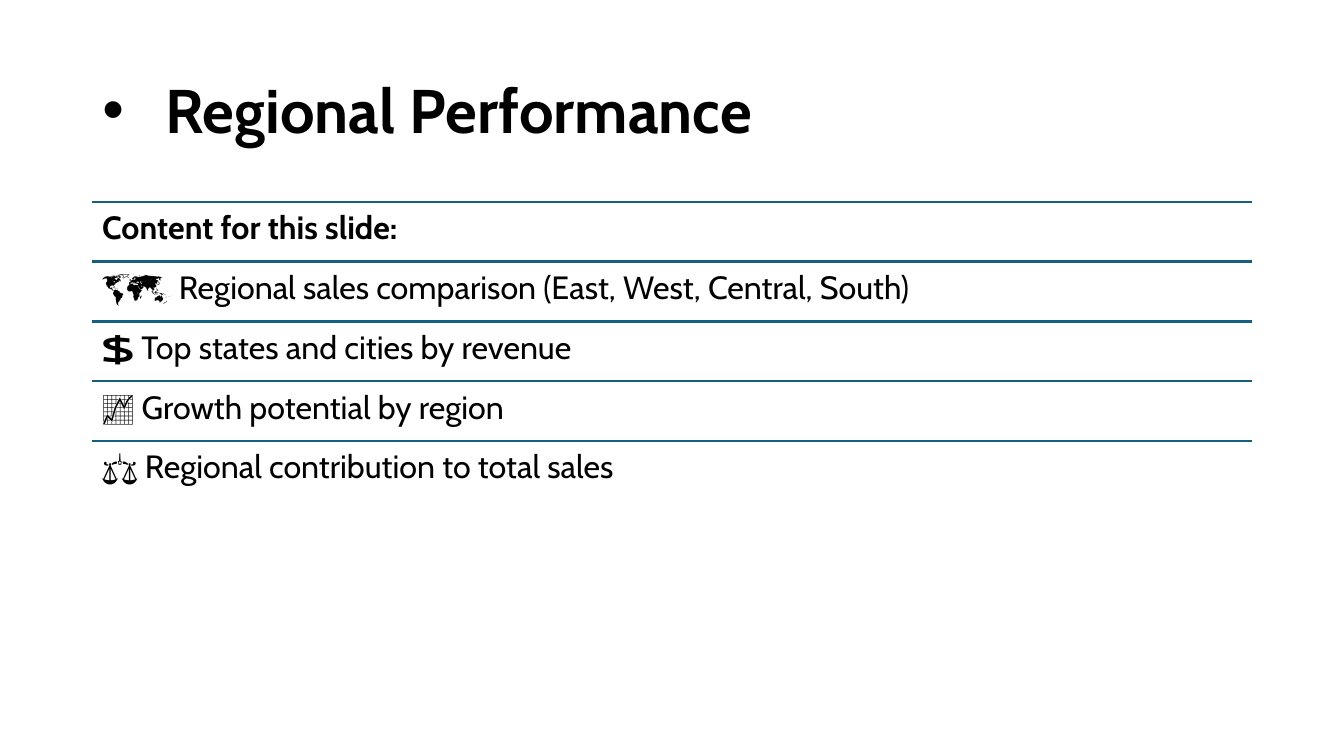
from lxml.etree import SubElement
from pptx import Presentation
from pptx.dml.color import RGBColor
from pptx.enum.shapes import MSO_CONNECTOR
from pptx.enum.text import MSO_ANCHOR, MSO_AUTO_SIZE, PP_ALIGN
from pptx.oxml.ns import qn
from pptx.util import Pt

TITLE = "Regional Performance"
ROWS = [
    "Content for this slide:",
    "🗺️ Regional sales comparison (East, West, Central, South)",
    "💲 Top states and cities by revenue",
    "📈 Growth potential by region",
    "⚖️ Regional contribution to total sales",
]

FONT = "Cabin"
BLACK = RGBColor(0x00, 0x00, 0x00)
TEAL = RGBColor(0x15, 0x60, 0x82)

LEFT, WIDTH = 66, 828
TITLE_TOP, TITLE_HEIGHT = 28.75, 104.4
ROWS_TOP, ROW_HEIGHT = 144, 42.82
ROW_INSET = 7
BULLET_INDENT = 45


def add_text(para, text, size, bold):
    para.alignment = PP_ALIGN.LEFT
    para.line_spacing = 0.9
    span = para.add_run()
    span.text = text
    span.font.name = FONT
    span.font.size = Pt(size)
    span.font.bold = bold
    span.font.color.rgb = BLACK


def add_bullet(para):
    properties = para._p.get_or_add_pPr()
    properties.set("marL", str(Pt(BULLET_INDENT)))
    properties.set("indent", str(-Pt(BULLET_INDENT)))
    SubElement(properties, qn("a:buFont")).set("typeface", "Arial")
    SubElement(properties, qn("a:buChar")).set("char", "•")


def add_rule(page, top):
    rule = page.shapes.add_connector(
        MSO_CONNECTOR.STRAIGHT, Pt(LEFT), Pt(top), Pt(LEFT + WIDTH), Pt(top))
    rule.line.color.rgb = TEAL
    rule.line.width = Pt(1.5)
    SubElement(rule._element.spPr, qn("a:effectLst"))


def add_row(page, top, text, bold):
    box = page.shapes.add_textbox(Pt(LEFT), Pt(top), Pt(WIDTH), Pt(ROW_HEIGHT))
    frame = box.text_frame
    frame.word_wrap = True
    frame.margin_left = frame.margin_right = Pt(ROW_INSET)
    frame.margin_top = frame.margin_bottom = Pt(ROW_INSET)
    add_text(frame.paragraphs[0], text, 23, bold)


def main():
    deck = Presentation()
    deck.slide_width, deck.slide_height = Pt(960), Pt(540)
    page = deck.slides.add_slide(deck.slide_layouts[5])

    title = page.shapes.title
    title.left, title.top = Pt(LEFT), Pt(TITLE_TOP)
    title.width, title.height = Pt(WIDTH), Pt(TITLE_HEIGHT)
    frame = title.text_frame
    frame.vertical_anchor = MSO_ANCHOR.MIDDLE
    frame.auto_size = MSO_AUTO_SIZE.NONE
    add_text(frame.paragraphs[0], TITLE, 44, True)
    add_bullet(frame.paragraphs[0])

    for index, text in enumerate(ROWS):
        top = ROWS_TOP + index * ROW_HEIGHT
        add_rule(page, top)
        add_row(page, top, text, bold=index == 0)

    deck.save("out.pptx")


if __name__ == "__main__":
    main()
